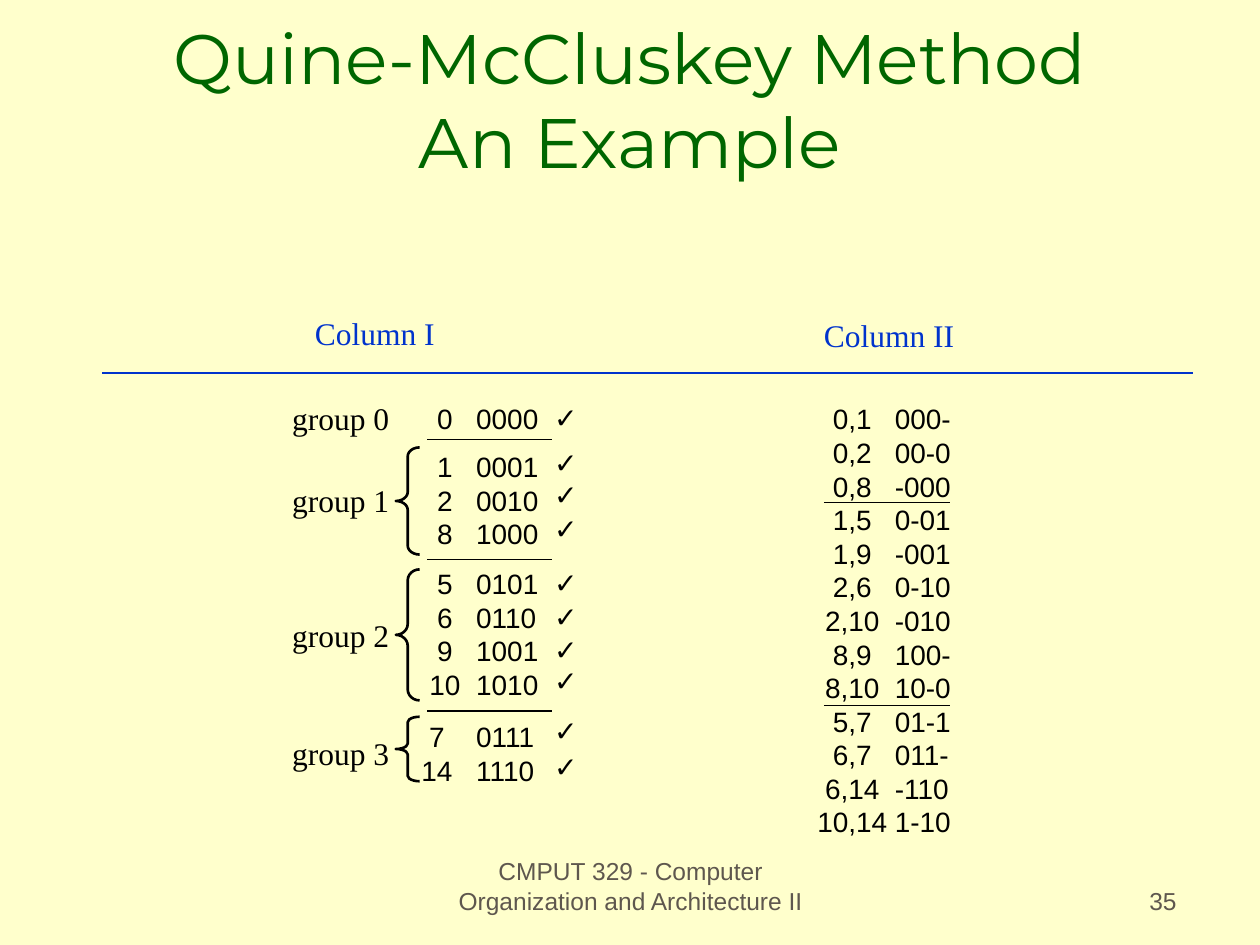
from lxml import etree
from pptx import Presentation
from pptx import util as u
from pptx.dml.color import RGBColor
from pptx.enum import shapes, text
from pptx.oxml.ns import qn

CREAM = RGBColor(0xFF, 0xFF, 0xCC)
GREEN = RGBColor(0x00, 0x66, 0x00)
BLUE = RGBColor(0x00, 0x33, 0xCC)
BLACK = RGBColor(0x00, 0x00, 0x00)
BROWN = RGBColor(0x5E, 0x57, 0x4E)
SERIF, SANS = "Times New Roman", "Arial"
LEFT, CENTER, RIGHT = text.PP_ALIGN.LEFT, text.PP_ALIGN.CENTER, text.PP_ALIGN.RIGHT

deck = Presentation()
deck.slide_width, deck.slide_height = u.Cm(25.4), u.Cm(19.05)
page = deck.slides.add_slide(deck.slide_layouts[5])
page.background.fill.solid()
page.background.fill.fore_color.rgb = CREAM


def write(words, at=None, box=None, font=SANS, size=16, color=BLACK, align=LEFT,
          anchor=text.MSO_ANCHOR.TOP, wrap=False, before=0, tabs=()):
    """Write lines of text in a box; at is left, top, width, height in cm."""
    if box is None:
        box = page.shapes.add_textbox(*map(u.Cm, at))
    frame = box.text_frame
    frame.text = words
    frame.word_wrap = wrap
    frame.auto_size = text.MSO_AUTO_SIZE.NONE
    frame.vertical_anchor = anchor
    for para in frame.paragraphs:
        para.alignment = align
        para.space_before = u.Pt(before)
        para.font.name, para.font.size = font, u.Pt(size)
        para.font.color.rgb = color
        for span in para.runs:
            span.font.name, span.font.size = font, u.Pt(size)
            span.font.color.rgb = color
        if tabs:
            stops = etree.SubElement(para._p.get_or_add_pPr(), qn("a:tabLst"))
            for place, kind in zip(tabs, ("ctr", "l")):
                etree.SubElement(stops, qn("a:tab"), pos=str(u.Cm(place)), algn=kind)


def rule(left, right, top, color=BLACK):
    """Draw a thin horizontal line."""
    line = page.shapes.add_connector(shapes.MSO_CONNECTOR.STRAIGHT, u.Cm(left),
                                     u.Cm(top), u.Cm(right), u.Cm(top))
    line.line.color.rgb = color
    line.line.width = u.Pt(0.75)
    etree.SubElement(line._element.spPr, qn("a:effectLst"))


# Title
title = page.shapes.title
title.left, title.top = u.Cm(1.9), u.Cm(0.64)
title.width, title.height = u.Cm(21.6), u.Cm(3.17)
write("Quine-McCluskey Method\vAn Example", box=title, font="Montserrat", size=40,
      color=GREEN, align=CENTER, anchor=text.MSO_ANCHOR.BOTTOM, wrap=True)

# Footer and page number
for words, left, width, align in (
        ("CMPUT 329 - Computer Organization and Architecture II", 8.69, 8.05, CENTER),
        ("35", 18.69, 5.28, RIGHT)):
    write(words, (left, 17.3, width, 1.27), size=14, color=BROWN, align=align,
          anchor=text.MSO_ANCHOR.BOTTOM, wrap=True, before=8.8)

# Column headings
write("Column I", (6.1, 6.2, 2.92, 1.02), font=SERIF, size=18, color=BLUE)
write("Column II", (16.36, 6.25, 3.12, 1.02), font=SERIF, size=18, color=BLUE)
rule(2.06, 24.05, 7.52, BLUE)

# Column I: group labels and minterms
groups = (
    (7.92, 7.98, 0.59, ("0 0000",)),
    (9.58, 8.94, 0.59, ("1 0001", "2 0010", "8 1000")),
    (12.29, 11.3, 0.59, ("5 0101", "6 0110", "9 1001", "10 1010")),
    (14.68, 14.38, 0.43, ("7 0111", "14 1110")),
)
for number, (label_top, top, center, rows) in enumerate(groups):
    write(f"group {number}", (5.64, label_top, 2.46, 1.02), font=SERIF, size=18,
          align=CENTER)
    lines = "\n".join("\t" + row.replace(" ", "\t") for row in rows)
    write(lines, (8.13, top, 3, 0.25 + 0.68 * len(rows)), wrap=True,
          tabs=(center, 1.22))

# Column I: separators, braces and check marks
for top in (8.86, 11.28, 14.33):
    rule(8.61, 11.13, top)
for top, height in ((9.02, 2.16), (11.48, 2.64), (14.45, 1.3)):
    brace = page.shapes.add_shape(shapes.MSO_SHAPE.LEFT_BRACE, u.Cm(7.98), u.Cm(top),
                                  u.Cm(0.48), u.Cm(height))
    brace.adjustments[0] = height / 12 / 0.48
    brace.shadow.inherit = False
    brace.fill.background()
    brace.line.color.rgb = BLACK
    brace.line.width = u.Pt(1.5)
for top in (7.95, 8.86, 9.5, 10.19, 11.28, 11.96, 12.62, 13.26, 14.25, 14.99):
    write("✓", (10.92, top, 0.94, 0.94))

# Column II: merged pairs
pairs = ("0,1 000-", "0,2 00-0", "0,8 -000", "1,5 0-01", "1,9 -001", "2,6 0-10",
         "2,10 -010", "8,9 100-", "8,10 10-0", "5,7 01-1", "6,7 011-", "6,14 -110",
         "10,14 1-10")
write("\n".join("\t" + pair.replace(" ", "\t") for pair in pairs),
      (16, 7.98, 3.5, 9.07), wrap=True, tabs=(0.93, 1.79))
for top in (10.13, 14.22):
    rule(16.61, 19.15, top)

deck.save("out.pptx")
